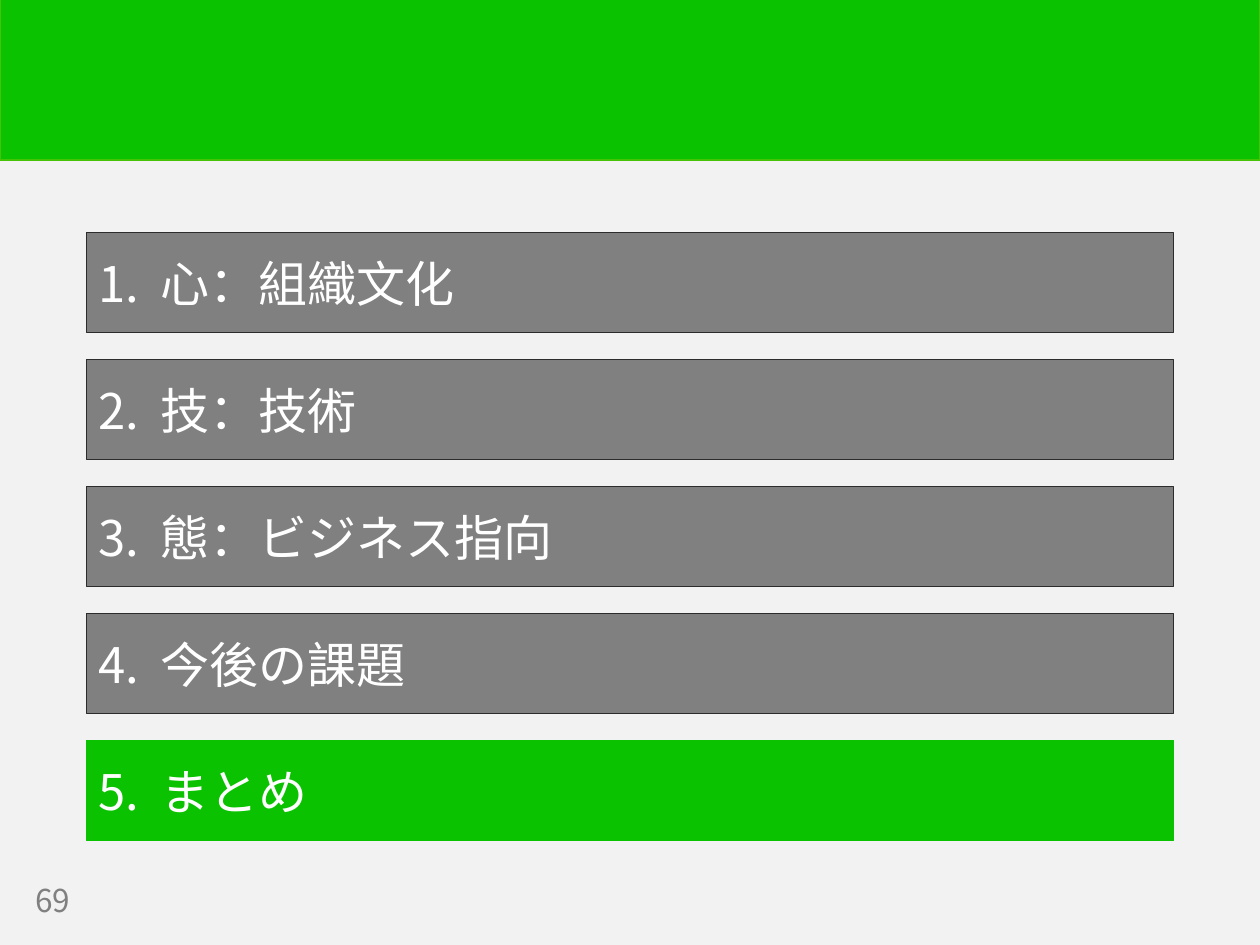
from lxml.etree import SubElement
from pptx import Presentation
from pptx.dml.color import RGBColor
from pptx.enum.shapes import MSO_SHAPE as Shape
from pptx.enum.text import MSO_ANCHOR as Anchor, PP_ALIGN as Align
from pptx.oxml.ns import qn
from pptx.util import Cm, Pt

GREEN = RGBColor(0x0A, 0xC2, 0x00)
EDGE_GREEN = RGBColor(0x44, 0xC4, 0x04)
GRAY = RGBColor(0x80, 0x80, 0x80)
DARK = RGBColor(0x2C, 0x2C, 0x2C)
PALE = RGBColor(0xF2, 0xF2, 0xF2)
WHITE = RGBColor(0xFF, 0xFF, 0xFF)
FONT = "Noto Sans CJK JP"

CHAPTERS = ["心：組織文化", "技：技術", "態：ビジネス指向", "今後の課題", "まとめ"]
CURRENT = 5
PAGE_NUMBER = "69"

WIDTH, HEIGHT = 25.4, 19.05
BAR_LEFT, BAR_TOP, BAR_HEIGHT, BAR_STEP = 1.74, 4.69, 2.01, 2.56
NUMBER_WIDTH = 1.25
FRAME_FORMAT = {"word_wrap": True, "vertical_anchor": Anchor.MIDDLE}


def add_bar(page, left, top, width, height, fill, edge, weight):
    bar = page.shapes.add_shape(
        Shape.RECTANGLE, Cm(left), Cm(top), Cm(width), Cm(height))
    bar.shadow.inherit = False
    bar.fill.solid()
    bar.fill.fore_color.rgb = fill
    bar.line.color.rgb = edge
    bar.line.width = Pt(weight)
    return bar


def write(box, text, size, color):
    for name, value in FRAME_FORMAT.items():
        setattr(box.text_frame, name, value)
    para = box.text_frame.paragraphs[0]
    para.alignment = Align.LEFT
    span = para.add_run()
    span.text = text
    for name, value in {"name": FONT, "size": Pt(size)}.items():
        setattr(span.font, name, value)
    span.font.color.rgb = color
    SubElement(span.font._element, qn("a:ea"), typeface=FONT)
    return para


def hang(para, width):
    properties = para._p.get_or_add_pPr()
    for name, value in {"marL": Cm(width), "indent": -Cm(width)}.items():
        properties.set(name, str(int(value)))


def main():
    deck = Presentation()
    deck.slide_width, deck.slide_height = Cm(WIDTH), Cm(HEIGHT)
    page = deck.slides.add_slide(deck.slide_layouts[6])
    page.background.fill.solid()
    page.background.fill.fore_color.rgb = PALE

    add_bar(page, 0, -0.02, WIDTH, 3.25, GREEN, EDGE_GREEN, 1)
    number_box = page.shapes.add_textbox(Cm(0.46), Cm(17.65), Cm(2), Cm(1))
    write(number_box, PAGE_NUMBER, 18, GRAY)

    for number, chapter in enumerate(CHAPTERS, 1):
        fill, edge = (GREEN, GREEN) if number == CURRENT else (GRAY, DARK)
        top = BAR_TOP + (number - 1) * BAR_STEP
        bar = add_bar(page, BAR_LEFT, top, WIDTH - 2 * BAR_LEFT, BAR_HEIGHT,
                      fill, edge, 0.75)
        hang(write(bar, f"{number}.\t{chapter}", 28, WHITE), NUMBER_WIDTH)

    deck.save("out.pptx")


if __name__ == "__main__":
    main()
